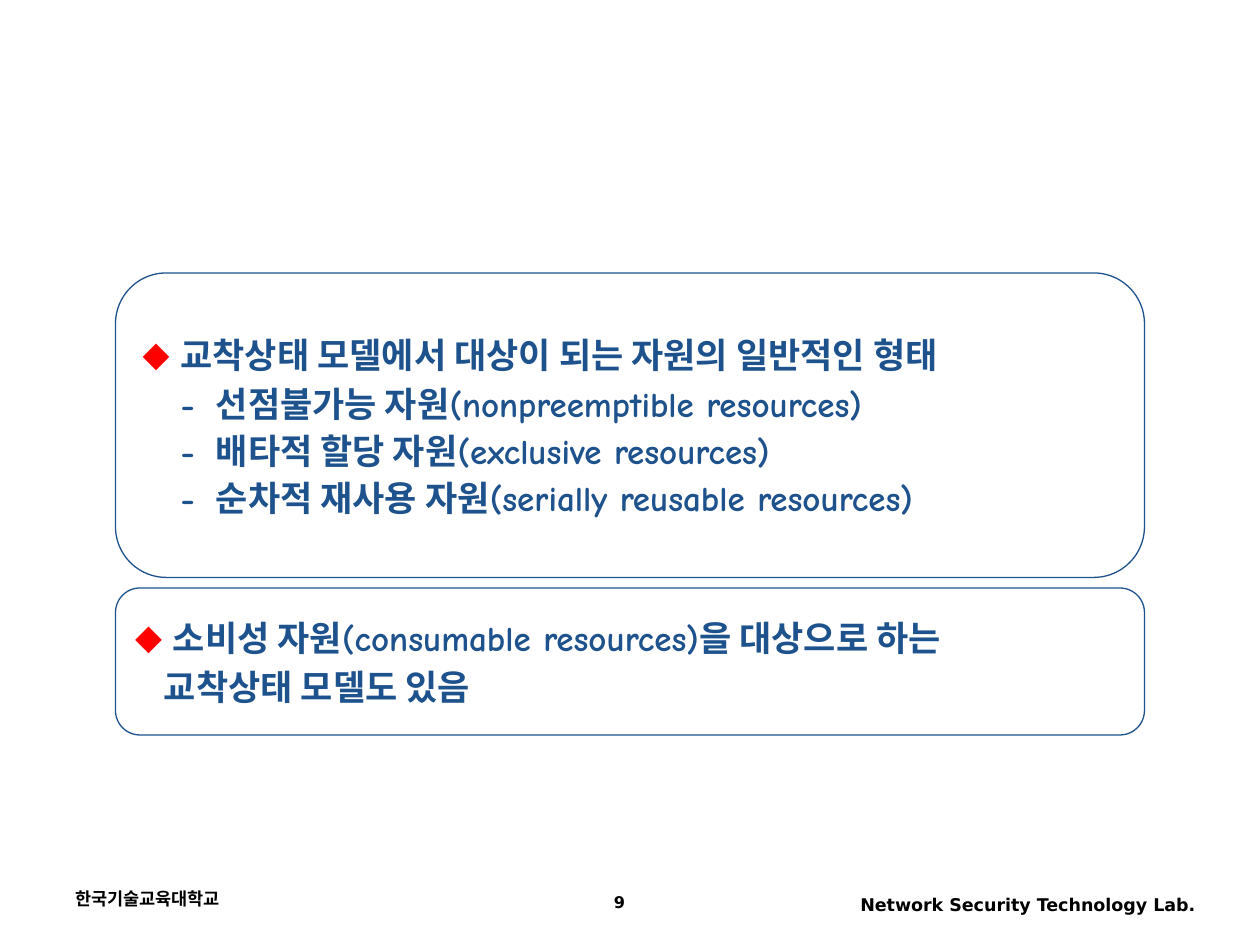
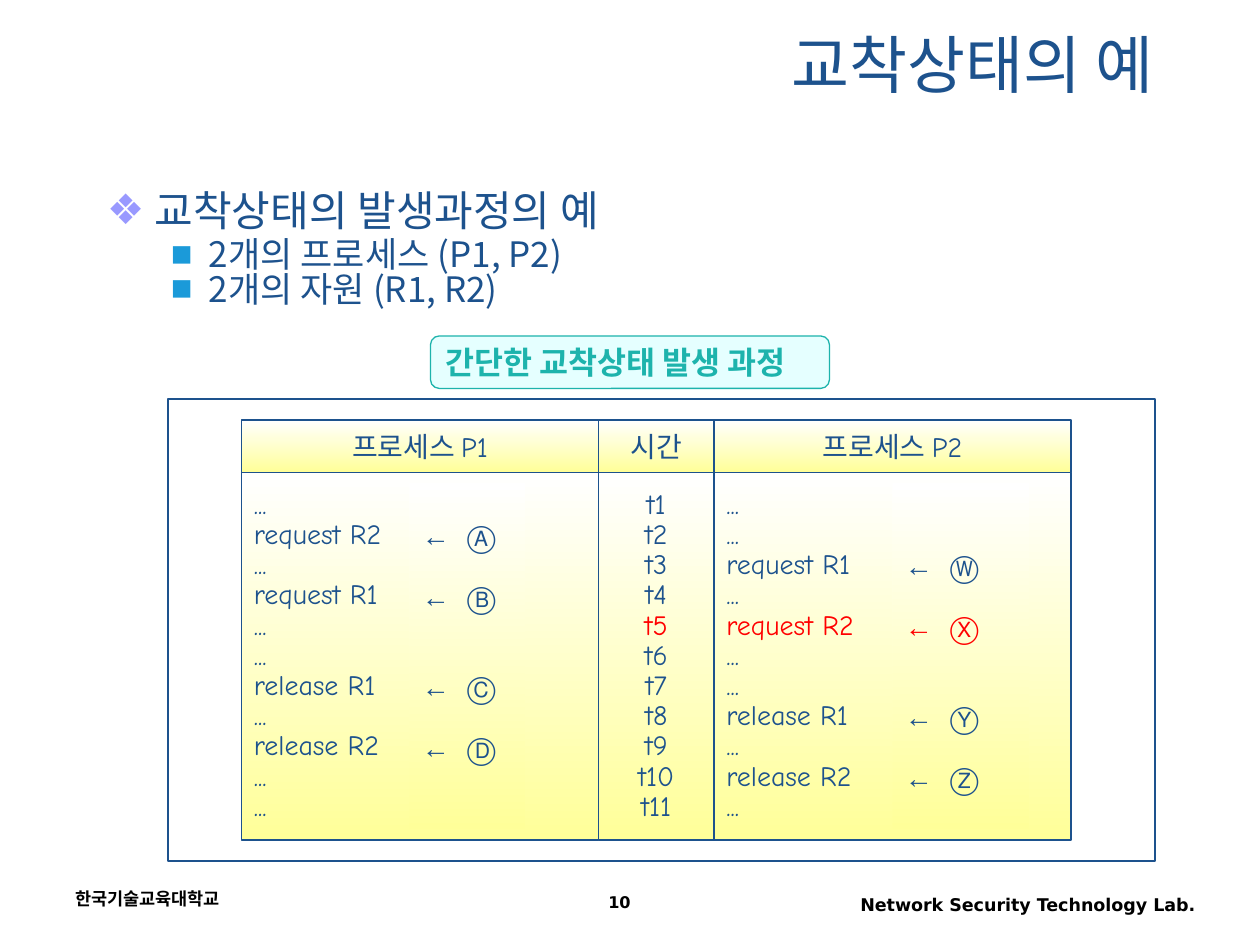
from dataclasses import dataclass, field

import pptx
import pptx.dml.color
import pptx.enum.shapes
import pptx.enum.text
import pptx.oxml
import pptx.oxml.ns
import pptx.util

SHAPE = pptx.enum.shapes.MSO_SHAPE
ALIGN = pptx.enum.text.PP_ALIGN
ANCHOR = pptx.enum.text.MSO_ANCHOR
Pt, Inches = pptx.util.Pt, pptx.util.Inches


# ---- Theme and grid ----
@dataclass(frozen=True)
class Theme:
    navy: str = "1D528D"
    red: str = "FF0000"
    teal: str = "1DB3AC"
    aqua: str = "CCFFFF"
    lilac: str = "9999FF"
    sky: str = "1B9AD9"
    black: str = "000000"
    gradient: tuple[str, str] = ("FFFFFF", "FFFF99")
    korean: str = "Noto Sans CJK KR"
    comic: str = "Comic Neue"
    footer: str = "DejaVu Sans"
    bullet: str = "DejaVu Sans"
    tag: str = "Arial Narrow"
    arrow: str = "Arial"
    title_pt: float = 36
    topic_pt: float = 24
    point_pt: float = 20
    tag_pt: float = 18
    cell_pt: float = 16
    footer_pt: float = 10
    number_pt: float = 9.2
    line_pt: float = 0.75


T = Theme()
COLS, ROWS = 120, 90
WIDTH, HEIGHT = Inches(10), Inches(7.5)
STEP_PT = 17.25  # height of one time step in the table


# ---- Building blocks ----
@dataclass(frozen=True)
class Area:
    """Place on the grid of COLS by ROWS."""
    col: float
    row: float
    cols: float
    rows: float

    def emu(self) -> tuple[int, int, int, int]:
        return (round(WIDTH * self.col / COLS), round(HEIGHT * self.row / ROWS),
                round(WIDTH * self.cols / COLS), round(HEIGHT * self.rows / ROWS))


@dataclass(frozen=True)
class Font:
    name: str
    size: float
    color: str = T.navy
    bold: bool = False


@dataclass(frozen=True)
class Para:
    runs: list[tuple[str, Font]]
    fmt: dict = field(default_factory=dict)
    margin: float = 0
    hang: float = 0
    bullet: str = ""
    bullet_color: str = T.navy


@dataclass(frozen=True)
class Box:
    area: Area
    paras: list[Para] = field(default_factory=list)
    shape: object = None  # None makes a text box
    fill: str = ""  # a colour, "gradient" or nothing
    alpha: int = 100
    line: str = ""
    anchor: object = ANCHOR.MIDDLE
    top: float = 0.05


def rgb(color: str) -> pptx.dml.color.RGBColor:
    return pptx.dml.color.RGBColor.from_string(color)


def add_xml(parent, tag: str, **attrs):
    """Append an element of the DrawingML namespace."""
    el = parent.makeelement(pptx.oxml.ns.qn(tag), attrs)
    parent.append(el)
    return el


def write_para(p, para: Para) -> None:
    for name, value in para.fmt.items():
        setattr(p, name, value)
    pPr = p._p.get_or_add_pPr()
    pPr.set("marL", str(Inches(para.margin)))
    pPr.set("indent", str(-Inches(para.hang)))
    if para.bullet:
        add_xml(add_xml(pPr, "a:buClr"), "a:srgbClr", val=para.bullet_color)
        add_xml(pPr, "a:buFont", typeface=T.bullet)
        add_xml(pPr, "a:buChar", char=para.bullet)
    else:
        add_xml(pPr, "a:buNone")
    for text, font in para.runs:
        r = p.add_run()
        r.text = text
        for name, value in dict(name=font.name, size=Pt(font.size), bold=font.bold).items():
            setattr(r.font, name, value)
        r.font.color.rgb = rgb(font.color)


def paint(sp, box: Box) -> None:
    sp.shadow.inherit = False
    if box.fill == "gradient":
        sp.fill.gradient()
        sp.fill.gradient_angle = 270
        for stop, color, position in zip(sp.fill.gradient_stops, T.gradient, (0, 1)):
            stop.color.rgb, stop.position = rgb(color), position
    elif box.fill:
        sp.fill.solid()
        sp.fill.fore_color.rgb = rgb(box.fill)
        if box.alpha < 100:
            clr = sp._element.spPr.find(".//" + pptx.oxml.ns.qn("a:srgbClr"))
            add_xml(clr, "a:alpha", val=str(box.alpha * 1000))
    else:
        sp.fill.background()
    if box.line:
        sp.line.color.rgb, sp.line.width = rgb(box.line), Pt(T.line_pt)
    else:
        sp.line.fill.background()


def draw(s, box: Box) -> None:
    if box.shape is None:
        sp = s.shapes.add_textbox(*box.area.emu())
    else:
        sp = s.shapes.add_shape(box.shape, *box.area.emu())
        paint(sp, box)
    tf = sp.text_frame
    frame = dict(word_wrap=True, vertical_anchor=box.anchor, margin_top=Inches(box.top))
    for name, value in frame.items():
        setattr(tf, name, value)
    for i, para in enumerate(box.paras):
        write_para(tf.paragraphs[0] if i == 0 else tf.add_paragraph(), para)


# ---- Shared footer ----
def new_slide(prs, number: int):
    s = prs.slides.add_slide(prs.slide_layouts[6])
    footer = Font(T.footer, T.footer_pt, T.black, True)
    page = Font(T.footer, T.number_pt, T.black, True)
    for area, text, font, fmt in (
        (Area(6, 84, 28, 4), "한국기술교육대학교", footer, dict(alignment=ALIGN.LEFT)),
        (Area(77, 84.6, 38, 3.8), "Network Security Technology Lab.", footer,
         dict(alignment=ALIGN.RIGHT)),
        (Area(45, 84.6, 28, 3.4), str(number), page,
         dict(alignment=ALIGN.CENTER, line_spacing=0.9)),
    ):
        draw(s, Box(area, [Para([(text, font)], fmt)], anchor=ANCHOR.TOP))
    return s


# ---- Slide 9: kinds of resources ----
def resource_slide(prs) -> None:
    s = new_slide(prs, 9)
    font = Font(T.comic, T.point_pt, bold=True)
    left = dict(alignment=ALIGN.LEFT)
    tight = dict(left, line_spacing=0.6, space_before=Pt(12.5))

    def head(text: str) -> Para:
        return Para([(text, font)], left, 0.3, 0.3, "◆", T.red)

    kinds = ("선점불가능 자원(nonpreemptible resources)",
             "배타적 할당 자원(exclusive resources)",
             "순차적 재사용 자원(serially reusable resources)")
    general = [head("교착상태 모델에서 대상이 되는 자원의 일반적인 형태")]
    general += [Para([(f"-\t{kind}", font)], tight, 0.58, 0.28) for kind in kinds]
    consumable = [head("소비성 자원(consumable resources)을 대상으로 하는"),
                  Para([("교착상태 모델도 있음", font)], tight, 0.23)]
    for row, rows, paras in ((26, 29, general), (56, 14, consumable)):
        draw(s, Box(Area(11, row, 98, rows), paras,
                    SHAPE.FLOWCHART_ALTERNATE_PROCESS, line=T.navy))


# ---- Slide 10: deadlock example ----
@dataclass(frozen=True)
class Process:
    name: str
    col: int
    mark_col: int
    mark_cols: int
    steps: dict[int, tuple[str, str]]  # time: (action, mark)
    blocked: int = 0  # time of the step in red


TIMES = range(1, 12)
PROCESSES = (
    Process("프로세스 P1", 23, 39, 11,
            {2: ("request R2", "Ⓐ"), 4: ("request R1", "Ⓑ"),
             7: ("release R1", "Ⓒ"), 9: ("release R2", "Ⓓ")}),
    Process("프로세스 P2", 68, 85, 13,
            {3: ("request R1", "Ⓦ"), 5: ("request R2", "Ⓧ"),
             8: ("release R1", "Ⓨ"), 10: ("release R2", "Ⓩ")}, blocked=5),
)


def cell_font(red: bool, name: str = T.comic) -> Font:
    return Font(name, T.cell_pt, T.red if red else T.navy)


def draw_column(s, col: int, cols: int, header: str, lines: list[str],
                red_time: int, align) -> None:
    head = Para([(header, cell_font(False))], dict(alignment=ALIGN.CENTER))
    body = [Para([(text, cell_font(t == red_time))], dict(alignment=align, line_spacing=0.9))
            for t, text in zip(TIMES, lines)]
    for row, rows, paras in ((40, 5, [head]), (45, 35, body)):
        draw(s, Box(Area(col, row, cols, rows), paras, SHAPE.RECTANGLE, "gradient", line=T.navy))


def draw_marks(s, proc: Process) -> None:
    first = last = min(proc.steps)
    paras = []
    for t, (_, mark) in proc.steps.items():
        red = t == proc.blocked
        fmt = dict(alignment=ALIGN.LEFT, line_spacing=Pt(STEP_PT))
        if t > first:
            fmt["space_before"] = Pt(STEP_PT * (t - last - 1))
        # The tab after the arrow stops at the hanging indent
        paras.append(Para([("←\t", cell_font(red, T.arrow)), (mark, cell_font(red))],
                          fmt, 0.36, 0.36))
        last = t
    top = 0.07 + (first - 1) * STEP_PT / 72
    draw(s, Box(Area(proc.mark_col, 46, proc.mark_cols, 33), paras, SHAPE.RECTANGLE,
                "gradient", anchor=ANCHOR.TOP, top=top))


def example_slide(prs) -> None:
    s = new_slide(prs, 10)
    draw(s, Box(Area(9, 2, 102, 8), [Para([("교착상태의 예", Font(T.korean, T.title_pt))],
                                          dict(alignment=ALIGN.RIGHT))]))
    topic, point = Font(T.korean, T.topic_pt), Font(T.korean, T.point_pt)
    outline = [Para([("교착상태의 발생과정의 예", topic)], {}, 0.38, 0.38, "❖", T.lilac)]
    for text, spacing in (("2개의 프로세스 (P1, P2)", 0.7), ("2개의 자원 (R1, R2)", 0.6)):
        fmt = dict(level=1, line_spacing=spacing, space_before=Pt(5))
        outline.append(Para([(text, point)], fmt, 0.81, 0.31, "▪", T.sky))
    draw(s, Box(Area(9, 17, 102, 13), outline, anchor=ANCHOR.TOP))

    # Timeline table
    for proc in PROCESSES:
        actions = [proc.steps.get(t, ("...", ""))[0] for t in TIMES]
        draw_column(s, proc.col, 34, proc.name, actions, proc.blocked, ALIGN.LEFT)
    draw_column(s, 57, 11, "시간", [f"t{t}" for t in TIMES], 5, ALIGN.CENTER)

    # Frame, caption and marks
    draw(s, Box(Area(16, 38, 94, 44), shape=SHAPE.RECTANGLE, line=T.navy))
    caption = Para([("간단한 교착상태 발생 과정", Font(T.tag, T.tag_pt, T.teal, True))],
                   dict(alignment=ALIGN.LEFT))
    draw(s, Box(Area(41, 32, 38, 5), [caption], SHAPE.FLOWCHART_ALTERNATE_PROCESS,
                T.aqua, 50, T.teal))
    for proc in PROCESSES:
        draw_marks(s, proc)


def main() -> None:
    prs = pptx.Presentation()
    prs.slide_width, prs.slide_height = WIDTH, HEIGHT
    resource_slide(prs)
    example_slide(prs)
    prs.save("out.pptx")


if __name__ == "__main__":
    main()
